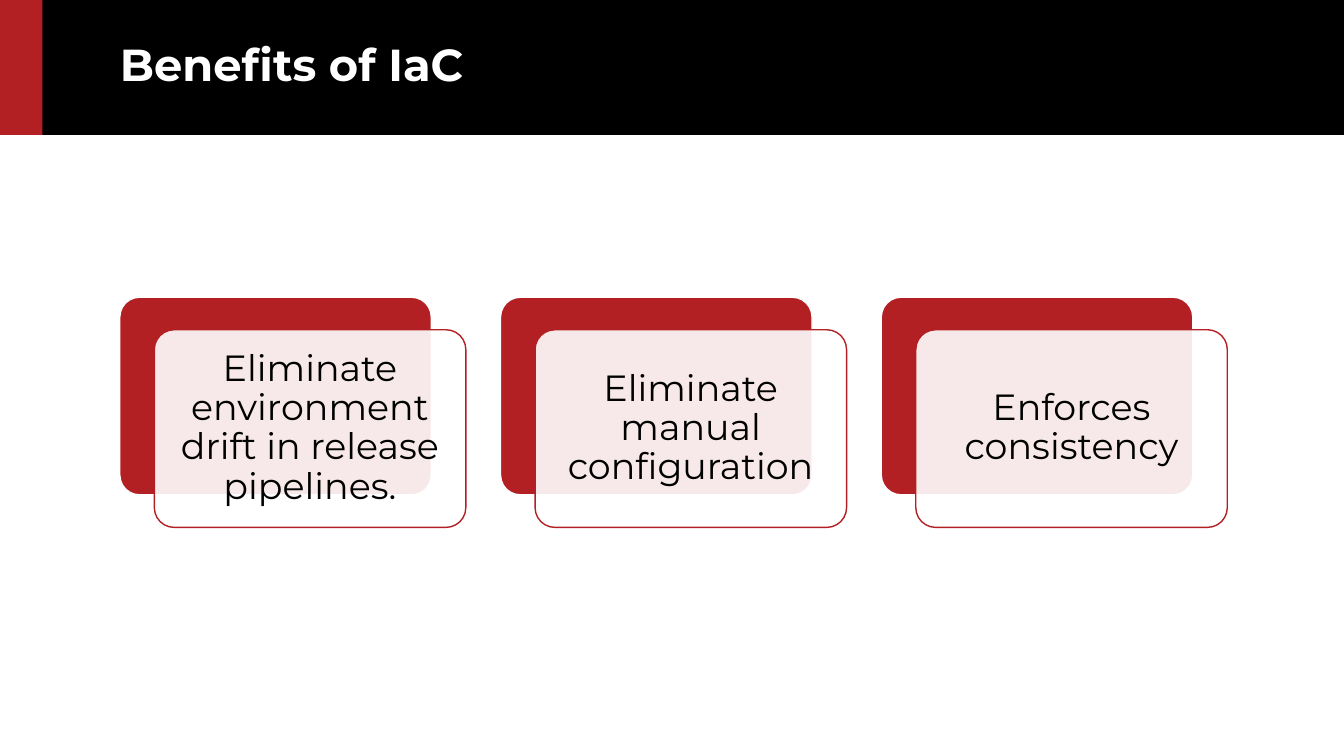
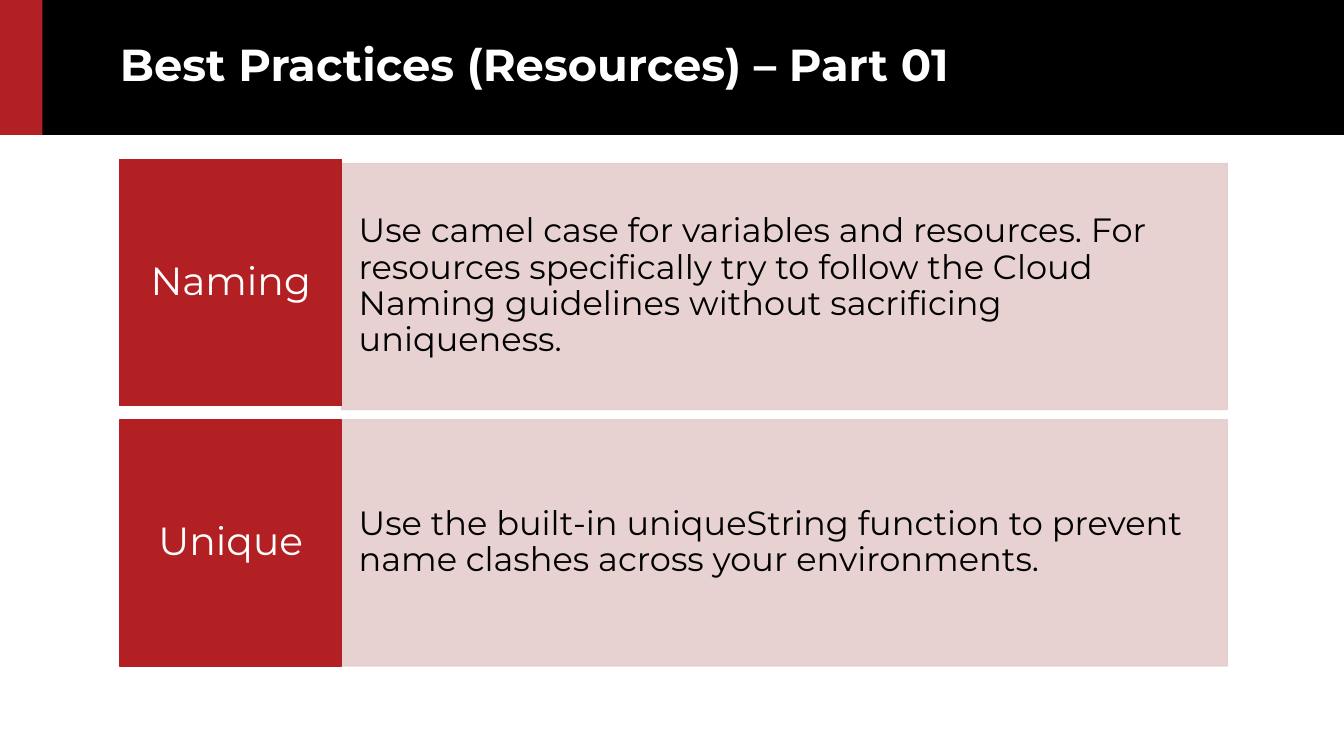
from lxml.etree import SubElement
from pptx import Presentation
from pptx.dml.color import RGBColor
from pptx.enum.shapes import MSO_SHAPE
from pptx.enum.text import MSO_ANCHOR, PP_ALIGN
from pptx.oxml.ns import qn
from pptx.util import Cm, Pt

# Content
BENEFITS_TITLE = "Benefits of IaC"
BENEFITS = [
    "Eliminate environment drift in release pipelines.",
    "Eliminate manual configuration",
    "Enforces consistency",
]
PRACTICES_TITLE = "Best Practices (Resources) – Part 01"
# Label, detail, how far the detail panel sits below its label (cm)
PRACTICES = [
    ("Naming", "Use camel case for variables and resources. For resources "
     "specifically try to follow the Cloud Naming guidelines without "
     "sacrificing uniqueness.", 0.1),
    ("Unique", "Use the built-in uniqueString function to prevent name "
     "clashes across your environments.", 0),
]

# Shared style, lengths in cm
FONT = "Montserrat"
RED, PINK, BLACK, WHITE = "B32024", "E5CDCD", "000000", "FFFFFF"
PAGE_WIDTH, PAGE_HEIGHT = 33.87, 19.05
BAND_HEIGHT, ACCENT_WIDTH = 3.4, 1.07
LEFT, CONTENT_WIDTH = 3.02, 27.91

# Benefit cards
CARD_TOP, CARD_WIDTH, CARD_HEIGHT = 7.49, 7.85, 4.98
CARD_SHIFT_X, CARD_SHIFT_Y = 0.87, 0.82
CARD_PITCH = (CONTENT_WIDTH - CARD_WIDTH - CARD_SHIFT_X) / (len(BENEFITS) - 1)

# Practice rows
ROW_TOP, ROW_HEIGHT, ROW_PITCH = 4.02, 6.2, 6.56
LABEL_WIDTH = 5.59


def color(value):
    return RGBColor.from_string(value)


def set_opacity(fill_parent, percent):
    for tint in fill_parent.iter(qn("a:srgbClr")):
        SubElement(tint, qn("a:alpha"), val=str(percent * 1000))


def add_panel(page, area, fill, line=None, opacity=100, rounded=False):
    kind = MSO_SHAPE.ROUNDED_RECTANGLE if rounded else MSO_SHAPE.RECTANGLE
    panel = page.shapes.add_shape(kind, *map(Cm, area))
    panel.shadow.inherit = False
    if rounded:
        panel.adjustments[0] = 0.1
    panel.fill.solid()
    panel.fill.fore_color.rgb = color(fill)
    if line:
        panel.line.color.rgb = color(line)
        panel.line.width = Pt(1)
    else:
        panel.line.fill.background()
    if opacity < 100:
        properties = panel.element.spPr
        set_opacity(properties.find(qn("a:solidFill")), opacity)
        if line == fill:
            set_opacity(properties.find(qn("a:ln")), opacity)
    return panel


def write(box, text, size, ink, align=PP_ALIGN.LEFT, inset=(0, 0), bold=False):
    frame = box.text_frame
    frame.word_wrap = True
    frame.vertical_anchor = MSO_ANCHOR.MIDDLE
    frame.margin_left = frame.margin_right = Cm(inset[0])
    frame.margin_top = frame.margin_bottom = Cm(inset[1])
    frame.text = text
    paragraph = frame.paragraphs[0]
    paragraph.alignment = align
    paragraph.line_spacing = 0.9
    font = paragraph.runs[0].font
    font.name, font.size, font.bold = FONT, Pt(size), bold
    font.color.rgb = color(ink)


def add_page(deck, title):
    page = deck.slides.add_slide(deck.slide_layouts[6])
    add_panel(page, (0, 0, PAGE_WIDTH, BAND_HEIGHT), BLACK)
    add_panel(page, (0, 0, ACCENT_WIDTH, BAND_HEIGHT), RED)
    area = (LEFT, 0, CONTENT_WIDTH, BAND_HEIGHT)
    box = page.shapes.add_textbox(*map(Cm, area))
    write(box, title, 32, WHITE, bold=True)
    return page


def add_benefits(deck):
    page = add_page(deck, BENEFITS_TITLE)
    for index, benefit in enumerate(BENEFITS):
        left = LEFT + index * CARD_PITCH
        size = (CARD_WIDTH, CARD_HEIGHT)
        add_panel(page, (left, CARD_TOP, *size), RED, WHITE, rounded=True)
        front = add_panel(
            page, (left + CARD_SHIFT_X, CARD_TOP + CARD_SHIFT_Y, *size),
            WHITE, RED, opacity=90, rounded=True)
        write(front, benefit, 26, BLACK, PP_ALIGN.CENTER, (0.28, 0.28))


def add_practices(deck):
    page = add_page(deck, PRACTICES_TITLE)
    for index, (name, advice, drop) in enumerate(PRACTICES):
        top = ROW_TOP + index * ROW_PITCH
        detail = add_panel(
            page, (LEFT + LABEL_WIDTH, top + drop,
                   CONTENT_WIDTH - LABEL_WIDTH, ROW_HEIGHT),
            PINK, PINK, opacity=90)
        write(detail, advice, 24, BLACK, inset=(0.43, 1.57))
        label = add_panel(page, (LEFT, top, LABEL_WIDTH, ROW_HEIGHT), RED, RED)
        write(label, name, 28, WHITE, PP_ALIGN.CENTER, (0.3, 0.61))


def main():
    deck = Presentation()
    deck.slide_width, deck.slide_height = Cm(PAGE_WIDTH), Cm(PAGE_HEIGHT)
    add_benefits(deck)
    add_practices(deck)
    deck.save("out.pptx")


if __name__ == "__main__":
    main()
